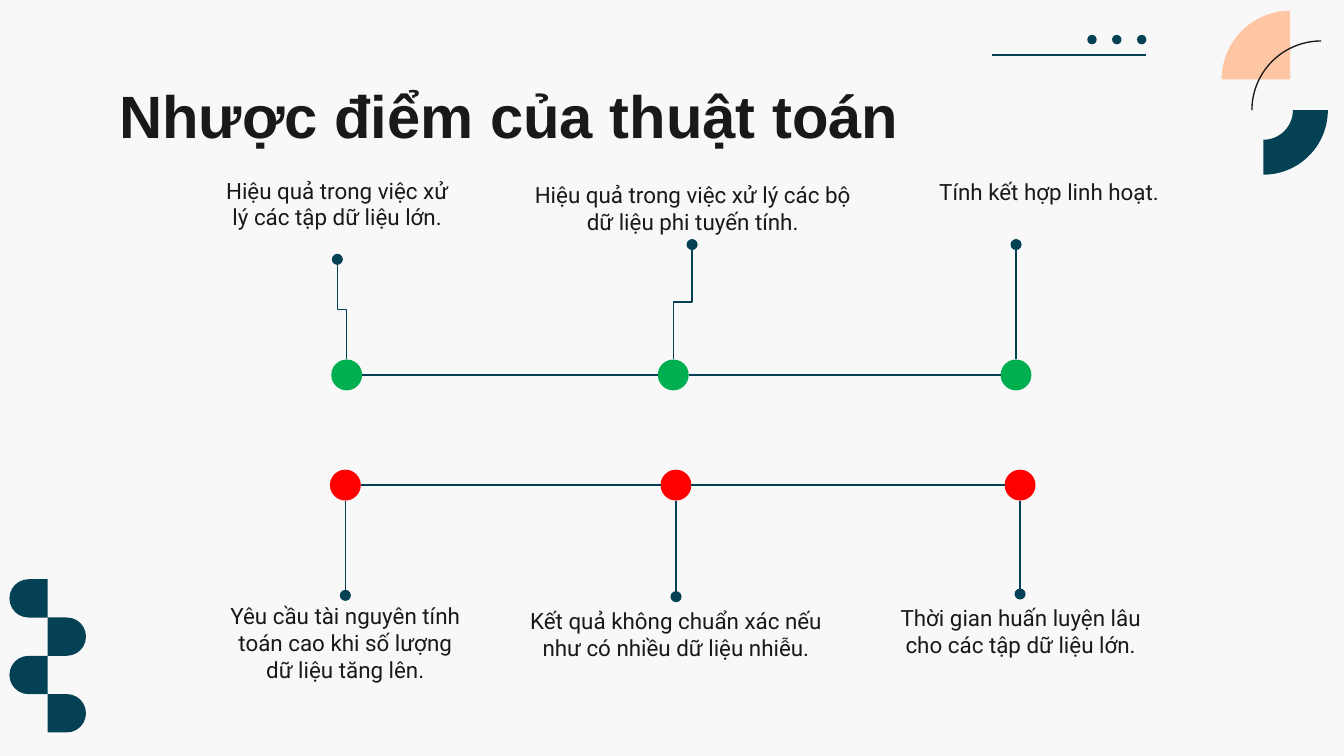
from dataclasses import dataclass
from math import cos, radians, sin

from lxml import etree
from pptx import Presentation
from pptx.dml.color import RGBColor
from pptx.enum.shapes import MSO_CONNECTOR, MSO_SHAPE
from pptx.enum.text import MSO_ANCHOR, PP_ALIGN
from pptx.oxml.ns import qn
from pptx.util import Inches, Pt

OVAL, DOME = MSO_SHAPE.OVAL, MSO_SHAPE.FLOWCHART_DELAY
LINE, ELBOW = MSO_CONNECTOR.STRAIGHT, MSO_CONNECTOR.ELBOW
TOP, MIDDLE = MSO_ANCHOR.TOP, MSO_ANCHOR.MIDDLE
LEFT, CENTER = PP_ALIGN.LEFT, PP_ALIGN.CENTER


@dataclass(frozen=True)
class Theme:
    """Colours, fonts and sizes of the deck."""
    back: str = "F8F8F8"
    ink: str = "191919"
    navy: str = "054154"
    peach: str = "FFC6A4"
    green: str = "00B050"
    red: str = "FF0000"
    head: str = "Arial"
    body: str = "Roboto"
    big: float = 32
    small: float = 12
    thin: float = 0.75
    rule: float = 1.1


THEME = Theme()
NODE = 0.23
PROS = (
    (2.58, 2.51, 1.93, "Hiệu quả trong việc xử lý các tập dữ liệu lớn.",
     (1.51, 1.2, 2, 0.63), CENTER),
    (5.01, 5.15, 1.82, "Hiệu quả trong việc xử lý các bộ dữ liệu phi tuyến tính.",
     (3.8, 1.27, 2.71, 0.55), CENTER),
    (7.56, 7.56, 1.82, "Tính kết hợp linh hoạt.",
     (6.89, 1.15, 1.86, 0.55), LEFT),
)
CONS = (
    (2.57, 2.57, 4.43, "Yêu cầu tài nguyên tính toán cao khi số lượng dữ liệu tăng lên.",
     (1.6, 4.43, 1.94, 0.7), CENTER),
    (5.03, 5.03, 4.44, "Kết quả không chuẩn xác nếu như có nhiều dữ liệu nhiễu.",
     (3.84, 4.44, 2.38, 0.55), CENTER),
    (7.59, 7.59, 4.42, "Thời gian huấn luyện lâu cho các tập dữ liệu lớn.",
     (6.52, 4.42, 2.15, 0.55), CENTER),
)


def apply(item, values):
    """Set each named value on an object."""
    for name, value in values.items():
        setattr(item, name, value)


def paint(shape, color):
    """Give a shape a flat fill without outline or shadow."""
    shape.shadow.inherit = False
    shape.fill.solid()
    shape.fill.fore_color.rgb = RGBColor.from_string(color)
    shape.line.fill.background()
    return shape


def add_form(slide, kind, box, color):
    """Add a flat preset shape in a box."""
    return paint(slide.shapes.add_shape(kind, *map(Inches, box)), color)


def add_text(slide, box, text, align, anchor, font):
    """Add a wrapped text box with one paragraph."""
    frame = slide.shapes.add_textbox(*map(Inches, box)).text_frame
    sides = ("left", "top", "right", "bottom")
    apply(frame, {f"margin_{side}": Inches(0.1) for side in sides})
    apply(frame, {"word_wrap": True, "vertical_anchor": anchor})
    para = frame.paragraphs[0]
    para.alignment = align
    run = para.add_run()
    run.text = text
    apply(run.font, font)
    run.font.color.rgb = RGBColor.from_string(THEME.ink)


def add_line(slide, start, end, width=THEME.thin, kind=LINE):
    """Add a navy connector between two points."""
    link = slide.shapes.add_connector(kind, *map(Inches, (*start, *end)))
    link.line.color.rgb = RGBColor.from_string(THEME.navy)
    link.line.width = Pt(width)
    etree.SubElement(link._element.spPr, qn("a:effectLst"))
    return link


def add_stem(slide, start, end):
    """Add an upright link, stepped where its ends differ, with a dot."""
    (x, y), (u, v) = start, end
    if x == u:
        link = add_line(slide, start, end)
    else:
        mid, half = ((x + u) / 2, (y + v) / 2), ((y - v) / 2, (u - x) / 2)
        link = add_line(slide, (mid[0] - half[0], mid[1] - half[1]),
                        (mid[0] + half[0], mid[1] + half[1]), kind=ELBOW)
        link._element.spPr.find(qn("a:xfrm")).set("rot", "16200000")
    edge = link._element.spPr.find(qn("a:ln"))
    etree.SubElement(edge, qn("a:tailEnd"), type="oval")


def add_arc(slide, hub, outer, inner, first, color):
    """Add a quarter ring, or a quarter disc when inner is zero."""
    def trace(radius, turns):
        return [(Inches(hub[0] + radius * cos(radians(first + turn))),
                 Inches(hub[1] + radius * sin(radians(first + turn))))
                for turn in turns]

    points = trace(outer, range(0, 91, 3))
    points += trace(inner, range(90, -1, -3) if inner else (0,))
    pen = slide.shapes.build_freeform(*points[0], scale=1)
    pen.add_line_segments(points[1:], close=True)
    paint(pen.convert_to_shape(), color)


def add_corner(slide, left, top):
    """Draw the arcs in the upper right corner."""
    add_arc(slide, (left + 0.51, top + 0.52), 0.51, 0, 180, THEME.peach)
    add_arc(slide, (left + 0.74, top + 0.75), 0.52, 0.51, 180, THEME.ink)
    add_arc(slide, (left + 0.31, top + 0.75), 0.48, 0.22, 0, THEME.navy)


def add_domes(slide, left, top, size):
    """Draw four domes that turn left and right by turns."""
    for row in range(4):
        side = row % 2
        box = (left + side * size, top + row * size, size, size)
        add_form(slide, DOME, box, THEME.navy).rotation = 180 * (1 - side)


def add_rule(slide, left, top, width):
    """Draw the three dots above a rule."""
    for step in range(3):
        box = (left + width - 0.07 - 0.185 * step, top, 0.07, 0.07)
        add_form(slide, OVAL, box, THEME.navy)
    base = top + 0.15
    add_line(slide, (left, base), (left + width, base), THEME.rule)


def add_track(slide, level, color, items):
    """Draw a row of linked nodes, each with a stem and a label."""
    half = NODE / 2
    for hub, tip, end, text, box, align in items:
        add_form(slide, OVAL, (hub - half, level - half, NODE, NODE), color)
        edge = level + (half if end > level else -half)
        add_stem(slide, (hub, edge), (tip, end))
        add_text(slide, box, text, align, MIDDLE,
                 {"name": THEME.body, "size": Pt(THEME.small)})
    for one, two in zip(items, items[1:]):
        add_line(slide, (one[0] + half, level), (two[0] - half, level))


def main():
    """Build and save the slide."""
    deck = Presentation()
    wide = Inches(10)
    apply(deck, {"slide_width": wide, "slide_height": wide * 9 // 16})
    slide = deck.slides.add_slide(deck.slide_layouts[6])
    slide.background.fill.solid()
    slide.background.fill.fore_color.rgb = RGBColor.from_string(THEME.back)
    add_corner(slide, 9.09, 0.07)
    add_domes(slide, 0.07, 4.31, 0.285)
    add_rule(slide, 7.38, 0.26, 1.15)
    add_text(slide, (0.79, 0.49, 8.43, 0.63), "Nhược điểm của thuật toán", LEFT, TOP,
             {"name": THEME.head, "size": Pt(THEME.big), "bold": True})
    add_track(slide, 2.79, THEME.green, PROS)
    add_track(slide, 3.61, THEME.red, CONS)
    deck.save("out.pptx")


if __name__ == "__main__":
    main()
